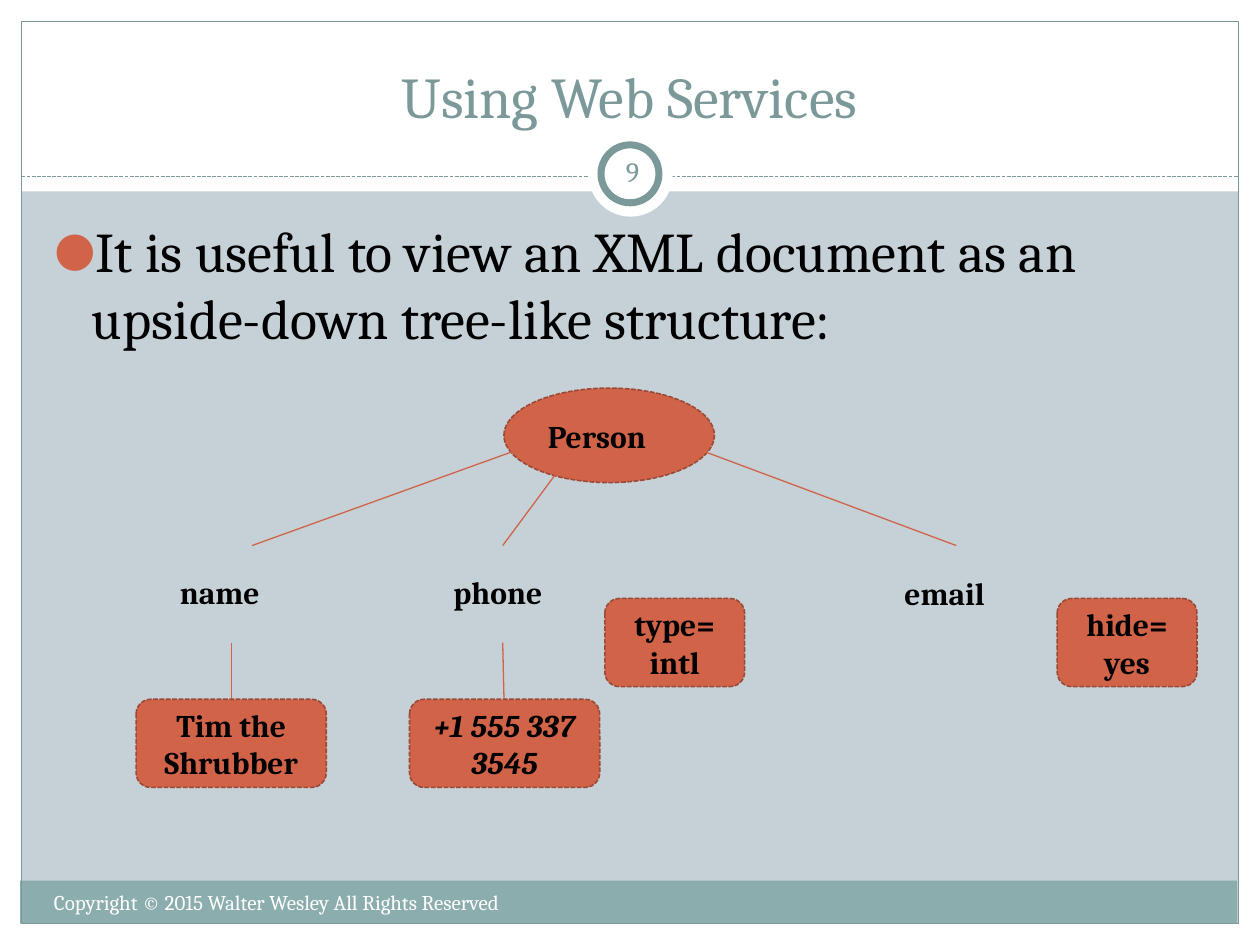
"""Build a slide that shows an XML document as an upside-down tree."""
from lxml.etree import SubElement
from pptx import Presentation
from pptx.dml.color import RGBColor
from pptx.enum.dml import MSO_LINE
from pptx.enum.shapes import MSO_CONNECTOR, MSO_SHAPE
from pptx.enum.text import MSO_ANCHOR, MSO_AUTO_SIZE, PP_ALIGN
from pptx.oxml.ns import qn
from pptx.util import Inches, Pt

WHITE = RGBColor(0xFF, 0xFF, 0xFF)
BLACK = RGBColor(0, 0, 0)
MIST = RGBColor(0xC5, 0xD1, 0xD7)
TEAL = RGBColor(0x8C, 0xAD, 0xAE)
SLATE = RGBColor(0x7C, 0x99, 0x9A)
RUST = RGBColor(0xD1, 0x63, 0x49)
BROWN = RGBColor(0x9B, 0x49, 0x36)

LABEL = {"size": Pt(18), "bold": True}
NODE = {"fill": RUST, "line": BROWN, "width": 0.9, "dash": MSO_LINE.SQUARE_DOT}
CENTERED = {"align": PP_ALIGN.CENTER, "anchor": MSO_ANCHOR.MIDDLE}


class SlideBuilder:
    def __init__(self, slide, font="Cambria"):
        self.slide = slide
        self.font = font

    def set_attributes(self, target, values):
        for name, value in values.items():
            setattr(target, name, value)

    def fill_text(self, sp, lines, style, color=BLACK, align=PP_ALIGN.LEFT,
                  anchor=MSO_ANCHOR.TOP, wrap=True, margins=None):
        tf = sp.text_frame
        self.set_attributes(tf, {"auto_size": MSO_AUTO_SIZE.NONE, "word_wrap": wrap,
                                 "vertical_anchor": anchor, **(margins or {})})
        for i, line in enumerate(lines):
            p = tf.add_paragraph() if i else tf.paragraphs[0]
            p.alignment = align
            r = p.add_run()
            r.text = line
            self.set_attributes(r.font, {"name": self.font, **style})
            r.font.color.rgb = color

    def stroke(self, line, color, width, dash=None):
        line.color.rgb = color
        line.width = Pt(width)
        if dash:
            line.dash_style = dash

    def shape(self, kind, box, fill=None, line=None, width=0.75, dash=None):
        sp = self.slide.shapes.add_shape(kind, *map(Inches, box))
        sp.shadow.inherit = False
        if fill is None:
            sp.fill.background()
        else:
            sp.fill.solid()
            sp.fill.fore_color.rgb = fill
        if line is None:
            sp.line.fill.background()
        else:
            self.stroke(sp.line, line, width, dash)
        return sp

    def node(self, box, lines, **style):
        sp = self.shape(MSO_SHAPE.ROUNDED_RECTANGLE, box, **NODE)
        self.fill_text(sp, lines, {**LABEL, **style}, **CENTERED)

    def connector(self, start, end, color=RUST, dash=None):
        c = self.slide.shapes.add_connector(
            MSO_CONNECTOR.STRAIGHT, *map(Inches, start + end))
        self.stroke(c.line, color, 0.75, dash)
        SubElement(c._element.spPr, qn("a:effectLst"))

    def text(self, box, line, style, **options):
        sp = self.slide.shapes.add_textbox(*map(Inches, box))
        self.fill_text(sp, [line], style, **options)

    def placeholder(self, index, box, line, style, **options):
        sp = self.slide.placeholders[index]
        self.slide.shapes._spTree.append(sp._element)
        self.set_attributes(sp, dict(zip(("left", "top", "width", "height"),
                                         map(Inches, box))))
        self.fill_text(sp, [line], style, **options)
        return sp

    def bullet(self, p, color, indent):
        pPr = p._p.get_or_add_pPr()
        pPr.set("marL", str(Inches(indent)))
        pPr.set("indent", str(-Inches(indent)))
        SubElement(SubElement(pPr, qn("a:buClr")), qn("a:srgbClr"), val=str(color))
        SubElement(pPr, qn("a:buSzPct"), val="85000")
        SubElement(pPr, qn("a:buFont"), typeface=self.font)
        SubElement(pPr, qn("a:buChar"), char="●")
        p.space_before = Pt(0)


def build_frame(s):
    for box in ((0, 7.33, 10, 0.17), (0, 0, 10, 1.52),
                (0, 0, 0.17, 7.5), (9.83, 0, 0.17, 7.5)):
        s.shape(MSO_SHAPE.RECTANGLE, box, WHITE)
    s.shape(MSO_SHAPE.RECTANGLE, (0.16, 6.99, 9.66, 0.34), TEAL)
    s.shape(MSO_SHAPE.RECTANGLE, (0.17, 0.17, 9.66, 7.16), line=SLATE)
    s.connector((0.17, 1.4), (9.83, 1.4), SLATE, MSO_LINE.SQUARE_DOT)
    s.shape(MSO_SHAPE.OVAL, (4.67, 1.05, 0.67, 0.67), WHITE)
    s.shape(MSO_SHAPE.OVAL, (4.77, 1.15, 0.46, 0.46), WHITE, SLATE, 4)
    s.text((0.33, 7.01, 4.75, 0.4), "Copyright © 2015 Walter Wesley All Rights Reserved",
           {"size": Pt(12)}, color=WHITE)
    sides = ("left", "top", "right", "bottom")
    s.text((4.77, 1.12, 0.5, 0.48), "9", {"size": Pt(16)}, color=SLATE,
           margins={f"margin_{side}": Inches(0.05) for side in sides}, **CENTERED)


def build_tree(s):
    s.shape(MSO_SHAPE.OVAL, (4, 3.08, 1.67, 0.75), **NODE)
    for start, end in (((4.08, 3.58), (2, 4.33)), ((4.42, 3.75), (3.99, 4.33)),
                       ((5.58, 3.58), (7.59, 4.33)), ((1.84, 5.1), (1.84, 5.55)),
                       ((3.99, 5.1), (4, 5.55))):
        s.connector(start, end)
    s.text((4.25, 3.26, 1.17, 0.4), "Person", LABEL)
    for left, top, width, name in ((1.33, 4.5, 0.93, "name"), (3.5, 4.5, 1.02, "phone"),
                                   (7.08, 4.51, 0.93, "email")):
        s.text((left, top, width, 0.4), name, LABEL, wrap=False)
    for left, lines in ((4.8, ["type=", "intl"]), (8.39, ["hide=", "yes"])):
        s.node((left, 4.75, 1.11, 0.7), lines)
    s.node((1.08, 5.55, 1.51, 0.7), ["Tim the Shrubber"])
    s.node((3.25, 5.55, 1.51, 0.7), ["+1 555 337 3545"], italic=True)


def main():
    prs = Presentation()
    prs.slide_width, prs.slide_height = Inches(10), Inches(7.5)
    slide = prs.slides.add_slide(prs.slide_layouts[1])
    slide.background.fill.solid()
    slide.background.fill.fore_color.rgb = MIST
    s = SlideBuilder(slide)
    build_frame(s)
    s.placeholder(0, (0.33, 0.25, 9.33, 0.83), "Using Web Services", {"size": Pt(33)},
                  color=SLATE, align=PP_ALIGN.CENTER, anchor=MSO_ANCHOR.BOTTOM)
    body = s.placeholder(
        1, (0.33, 1.67, 9.3, 5),
        "It is useful to view an XML document as an upside-down tree-like structure:",
        {"size": Pt(32)})
    s.bullet(body.text_frame.paragraphs[0], RUST, 0.3)
    build_tree(s)
    prs.save("out.pptx")


if __name__ == "__main__":
    main()
